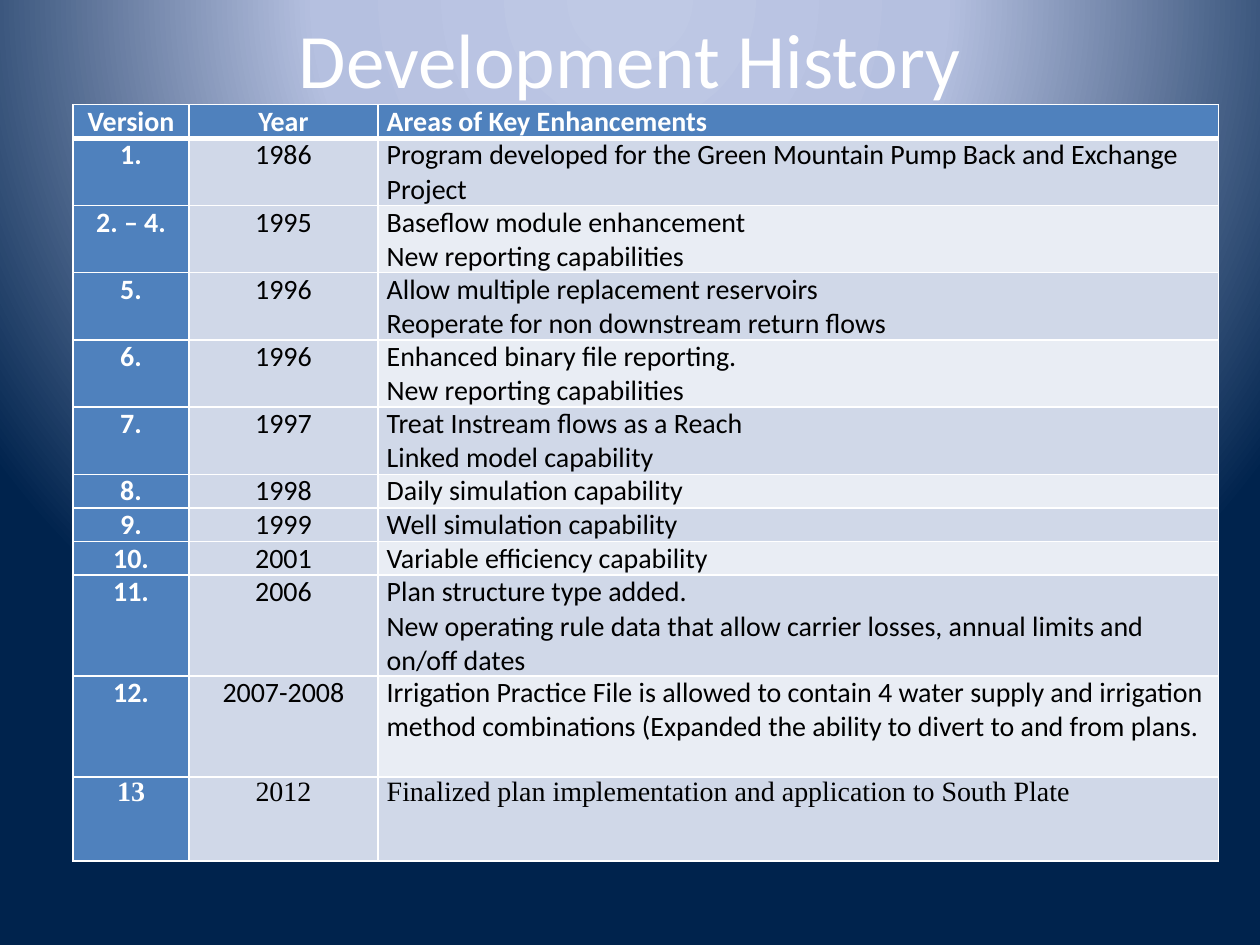
"""Build the Development History slide with its table of program versions."""
from dataclasses import dataclass

from lxml.etree import SubElement
from pptx import Presentation
from pptx.dml.color import RGBColor
from pptx.enum.text import MSO_ANCHOR, PP_ALIGN
from pptx.oxml import parse_xml
from pptx.oxml.ns import nsdecls, qn
from pptx.util import Inches, Pt


@dataclass(frozen=True)
class Theme:
    white: str = "FFFFFF"
    black: str = "000000"
    accent: str = "4F81BD"
    band: str = "D0D8E8"
    light_band: str = "E9EDF4"
    gradient: tuple = ((0, "BFC9E5"), (40, "B5C0E0"), (100, "00234D"))
    font: str = "Calibri"
    serif: str = "Times New Roman"
    title_size: int = 44
    table_size: int = 16


def format_text(text_frame, size, color, font, align, bold=False):
    for paragraph in text_frame.paragraphs:
        paragraph.alignment = align
        for run in paragraph.runs:
            run.font.size = Pt(size)
            run.font.name = font
            run.font.bold = bold
            run.font.color.rgb = RGBColor.from_string(color)


def add_border(cell, side, color, width):
    properties = cell._tc.get_or_add_tcPr()
    line = SubElement(properties, qn(f"a:ln{side}"), w=str(Pt(width)))
    fill = SubElement(line, qn("a:solidFill"))
    SubElement(fill, qn("a:srgbClr"), val=color)


theme = Theme()
versions = [
    ("Version", "Year", "Areas of Key Enhancements", 0.24),
    ("1.", "1986", "Program developed for the Green Mountain Pump Back and Exchange Project", 0.49),
    ("2. – 4.", "1995", "Baseflow module enhancement\nNew reporting capabilities", 0.49),
    ("5.", "1996", "Allow multiple replacement reservoirs\nReoperate for non downstream return flows", 0.49),
    ("6.", "1996", "Enhanced binary file reporting.\nNew reporting capabilities", 0.49),
    ("7.", "1997", "Treat Instream flows as a Reach\nLinked model capability", 0.49),
    ("8.", "1998", "Daily simulation capability", 0.24),
    ("9.", "1999", "Well simulation capability", 0.24),
    ("10.", "2001", "Variable efficiency capability", 0.24),
    ("11.", "2006", "Plan structure type added.\nNew operating rule data that allow carrier losses, "
     "annual limits and on/off dates", 0.73),
    ("12.", "2007-2008", "Irrigation Practice File is allowed to contain 4 water supply and irrigation "
     "method combinations (Expanded the ability to divert to and from plans.", 0.8),
    ("13", "2012", "Finalized plan implementation and application to South Plate", 0.67),
]
column_widths = (0.92, 1.5, 6.67)

presentation = Presentation()
presentation.slide_width = Inches(10)
presentation.slide_height = Inches(7.5)
slide = presentation.slides.add_slide(presentation.slide_layouts[6])

stops = "".join(
    f'<a:gs pos="{position * 1000}"><a:srgbClr val="{color}"/></a:gs>'
    for position, color in theme.gradient
)
background = parse_xml(
    f'<p:bg {nsdecls("p", "a")}><p:bgPr><a:gradFill rotWithShape="1"><a:gsLst>{stops}</a:gsLst>'
    '<a:path path="circle"><a:fillToRect l="50000" t="-80000" r="50000" b="180000"/></a:path>'
    "</a:gradFill><a:effectLst/></p:bgPr></p:bg>"
)
slide.element.cSld.insert(0, background)

title = slide.shapes.add_textbox(Inches(0.5), Inches(0), Inches(9), Inches(0.92))
title.text_frame.word_wrap = True
title.text_frame.vertical_anchor = MSO_ANCHOR.MIDDLE
title.text_frame.text = "Development History"
format_text(title.text_frame, theme.title_size, theme.white, theme.font, PP_ALIGN.CENTER)

table = slide.shapes.add_table(
    len(versions), len(column_widths), Inches(0.58), Inches(0.83),
    Inches(sum(column_widths)), Inches(sum(version[-1] for version in versions)),
).table
for column, width in zip(table.columns, column_widths):
    column.width = Inches(width)

for row_index, (*texts, height) in enumerate(versions):
    table.rows[row_index].height = Inches(height)
    font = theme.serif if row_index == len(versions) - 1 else theme.font
    for column_index, text in enumerate(texts):
        cell = table.cell(row_index, column_index)
        cell.margin_left = cell.margin_right = Inches(0.07)
        cell.margin_top = cell.margin_bottom = Inches(0)
        is_heading = row_index == 0 or column_index == 0
        if is_heading:
            fill_color = theme.accent
        elif column_index == 2 and row_index % 2 == 0:
            fill_color = theme.light_band
        else:
            fill_color = theme.band
        for side in "LRTB":
            under_header = (row_index, side) in ((0, "B"), (1, "T"))
            add_border(cell, side, theme.white, 3 if under_header else 1)
        cell.fill.solid()
        cell.fill.fore_color.rgb = RGBColor.from_string(fill_color)
        cell.text_frame.text = text
        format_text(
            cell.text_frame, theme.table_size, theme.white if is_heading else theme.black, font,
            PP_ALIGN.LEFT if column_index == 2 else PP_ALIGN.CENTER, is_heading,
        )

presentation.save("out.pptx")
